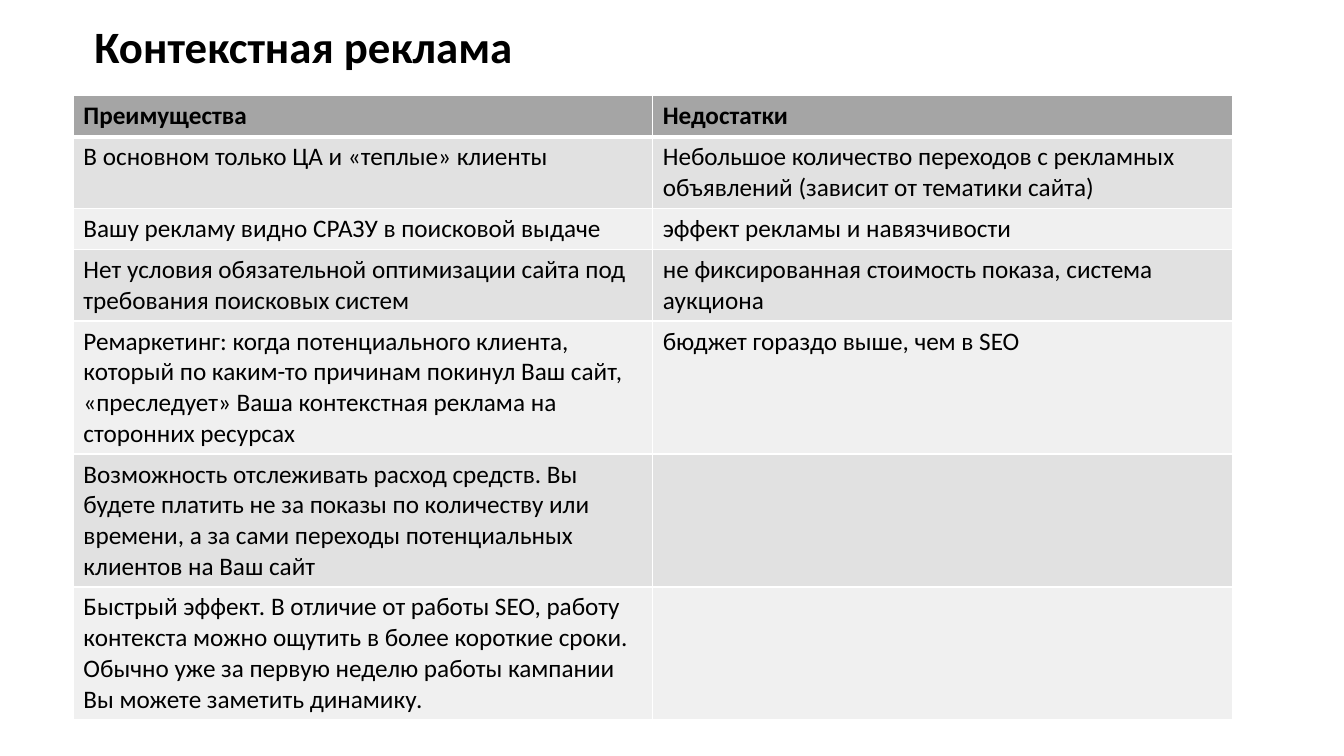
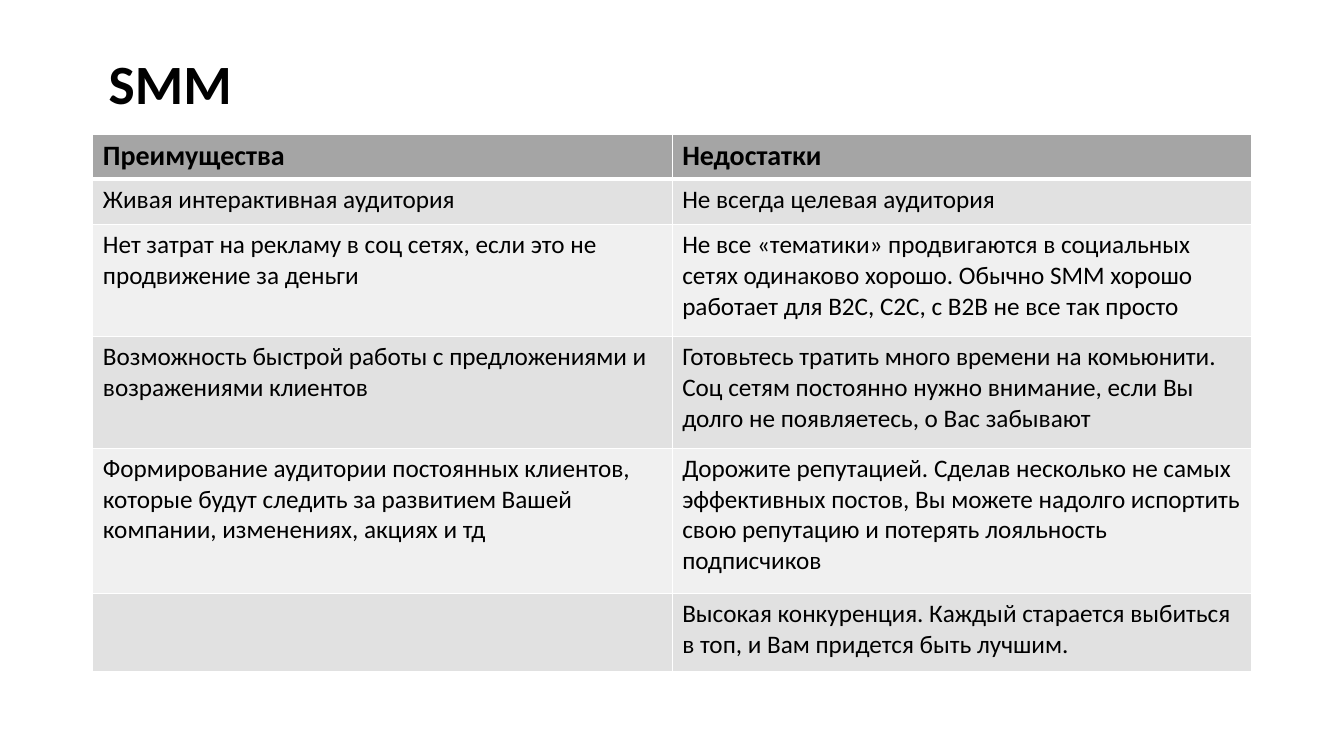
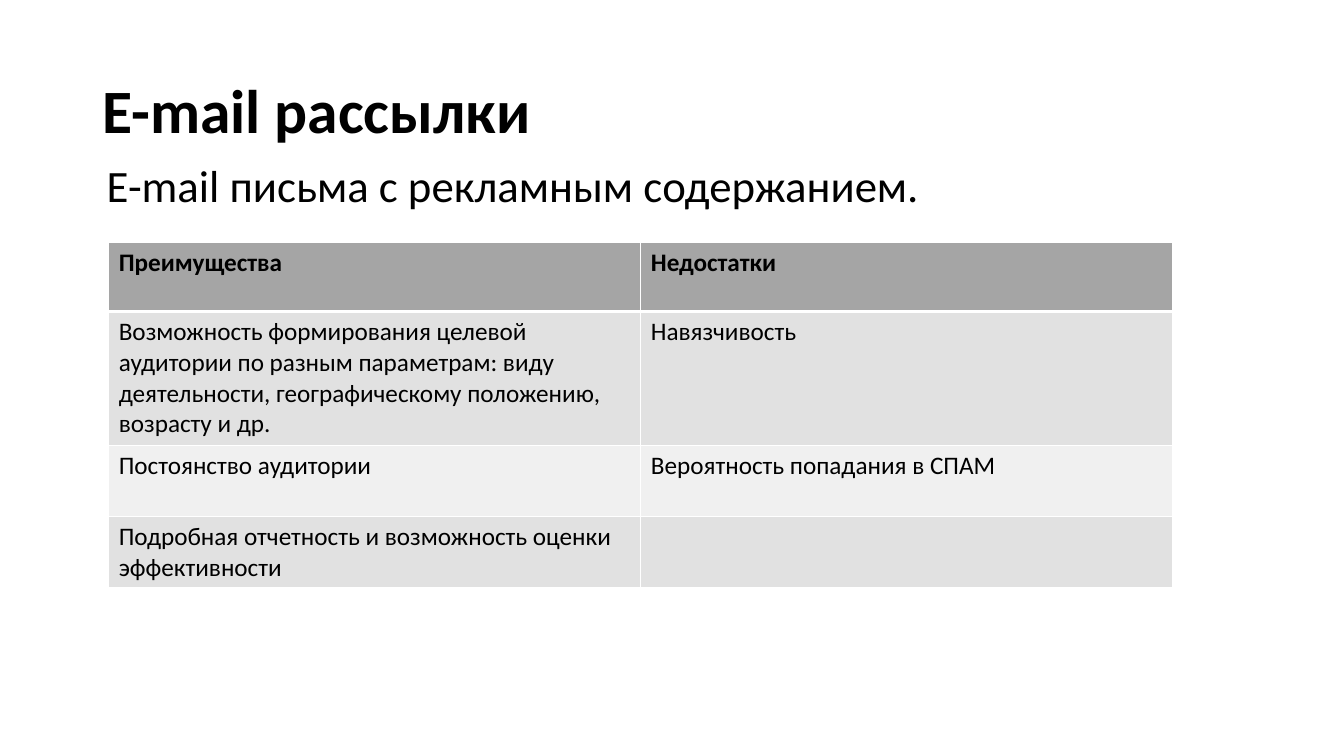
from lxml import etree
from pptx import Presentation
from pptx.dml.color import RGBColor
from pptx.enum.text import MSO_ANCHOR
from pptx.oxml.ns import qn
from pptx.util import Cm, Pt

TOP, MIDDLE = MSO_ANCHOR.TOP, MSO_ANCHOR.MIDDLE
FONT = "Calibri"
BLACK, WHITE = "000000", "FFFFFF"
HEADER_FILL = "A5A5A5"
BAND_FILLS = ("E1E1E1", "F0F0F0")
HEADERS = ("Преимущества", "Недостатки")
TEXT_WIDTH = 29.21
BODY_SIZE = 18

SLIDES = [
    {
        "title": {"text": "Контекстная реклама", "box": (2.13, 0, TEXT_WIDTH, 2.49), "size": 32},
        "table": {
            "at": (1.85, 2.41), "col_width": 14.6, "header_size": 18,
            "heights": (1.04, 1.8, 1.04, 1.8, 3.35, 3.35, 3.35),
            "rows": [
                ("В основном только ЦА и «теплые» клиенты",
                 "Небольшое количество переходов с рекламных объявлений (зависит от тематики сайта)"),
                ("Вашу рекламу видно СРАЗУ в поисковой выдаче",
                 "эффект рекламы и навязчивости"),
                ("Нет условия обязательной оптимизации сайта под требования поисковых систем",
                 "не фиксированная стоимость показа, система аукциона"),
                ("Ремаркетинг: когда потенциального клиента, который по каким-то причинам покинул "
                 "Ваш сайт, «преследует» Ваша контекстная реклама на сторонних ресурсах",
                 "бюджет гораздо выше, чем в SEO"),
                ("Возможность отслеживать расход средств. Вы будете платить не за показы по "
                 "количеству или времени, а за сами переходы потенциальных клиентов на Ваш сайт", ""),
                ("Быстрый эффект. В отличие от работы SEO, работу контекста можно ощутить в более "
                 "короткие сроки. Обычно уже за первую неделю работы кампании Вы можете заметить "
                 "динамику.", ""),
            ],
        },
    },
    {
        "title": {"text": "SММ", "box": (2.49, 1.5, TEXT_WIDTH, 1.37), "size": 39.6},
        "table": {
            "at": (2.34, 3.38), "col_width": 14.6, "header_size": 20,
            "heights": (1.14, 1.14, 2.82, 2.82, 3.66, 1.96),
            "rows": [
                ("Живая интерактивная аудитория", "Не всегда целевая аудитория"),
                ("Нет затрат на рекламу в соц сетях, если это не продвижение за деньги",
                 "Не все «тематики» продвигаются в социальных сетях одинаково хорошо. Обычно SMM "
                 "хорошо работает для B2C, С2С, с B2B не все так просто"),
                ("Возможность быстрой работы с предложениями и возражениями клиентов",
                 "Готовьтесь тратить много времени на комьюнити. Соц сетям постоянно нужно "
                 "внимание, если Вы долго не появляетесь, о Вас забывают"),
                ("Формирование аудитории постоянных клиентов, которые будут следить за развитием "
                 "Вашей компании, изменениях, акциях и тд",
                 "Дорожите репутацией. Сделав несколько не самых эффективных постов, Вы можете "
                 "надолго испортить свою репутацию и потерять лояльность подписчиков"),
                ("", "Высокая конкуренция. Каждый старается выбиться в топ, и Вам придется быть лучшим."),
            ],
        },
    },
    {
        "title": {"text": "E-mail рассылки", "box": (2.34, 1.02, TEXT_WIDTH, 3.68), "size": 44},
        "lead": {"text": "E-mail письма с рекламным содержанием.",
                 "box": (2.44, 4.01, TEXT_WIDTH, 3.89), "size": 32},
        "table": {
            "at": (2.74, 6.1), "col_width": 13.41, "header_size": 18,
            "heights": (1.75, 3.38, 1.78, 1.8),
            "rows": [
                ("Возможность формирования целевой аудитории по разным параметрам: виду "
                 "деятельности, географическому положению, возрасту и др.", "Навязчивость"),
                ("Постоянство аудитории", "Вероятность попадания в СПАМ"),
                ("Подробная отчетность и возможность оценки эффективности", ""),
            ],
        },
    },
]


def color(value):
    return RGBColor.from_string(value)


def write(tf, text, size=BODY_SIZE, bold=False, spacing=None, before=None):
    p = tf.paragraphs[0]
    p.line_spacing = spacing
    p.space_before = before
    p.font.size = Pt(size)
    if text:
        r = p.add_run()
        r.text = text
        r.font.name = FONT
        r.font.size = Pt(size)
        r.font.bold = bold
        r.font.color.rgb = color(BLACK)


def add_text(s, text, box, size, anchor=TOP, bold=False, before=None):
    tf = s.shapes.add_textbox(*map(Cm, box)).text_frame
    tf.word_wrap = True
    tf.vertical_anchor = anchor
    write(tf, text, size=size, bold=bold, spacing=0.9, before=before)


def set_borders(cell, top, bottom):
    tc_pr = cell._tc.get_or_add_tcPr()
    widths = {"a:lnL": 1, "a:lnR": 1, "a:lnT": top, "a:lnB": bottom}
    for i, (tag, width) in enumerate(widths.items()):
        ln = etree.Element(qn(tag), w=str(Pt(width)))
        fill = etree.SubElement(ln, qn("a:solidFill"))
        etree.SubElement(fill, qn("a:srgbClr"), val=WHITE)
        tc_pr.insert(i, ln)


def add_table(s, at, col_width, header_size, heights, rows):
    left, top = at
    frame = s.shapes.add_table(len(heights), len(HEADERS), Cm(left), Cm(top),
                               Cm(col_width * len(HEADERS)), Cm(sum(heights)))
    table = frame.table
    table.horz_banding = False
    for col in table.columns:
        col.width = Cm(col_width)
    for i, (height, texts) in enumerate(zip(heights, [HEADERS] + rows)):
        table.rows[i].height = Cm(height)
        header = i == 0
        for j, text in enumerate(texts):
            cell = table.cell(i, j)
            cell.fill.solid()
            cell.fill.fore_color.rgb = color(HEADER_FILL if header else BAND_FILLS[(i - 1) % 2])
            set_borders(cell, top=3 if i == 1 else 1, bottom=3 if header else 1)
            write(cell.text_frame, text, size=header_size if header else BODY_SIZE, bold=header)


def main():
    prs = Presentation()
    prs.slide_width, prs.slide_height = Cm(33.87), Cm(19.05)
    for content in SLIDES:
        s = prs.slides.add_slide(prs.slide_layouts[6])
        add_text(s, **content["title"], anchor=MIDDLE, bold=True)
        if "lead" in content:
            add_text(s, **content["lead"], before=Pt(10))
        add_table(s, **content["table"])
    prs.save("out.pptx")


if __name__ == "__main__":
    main()
